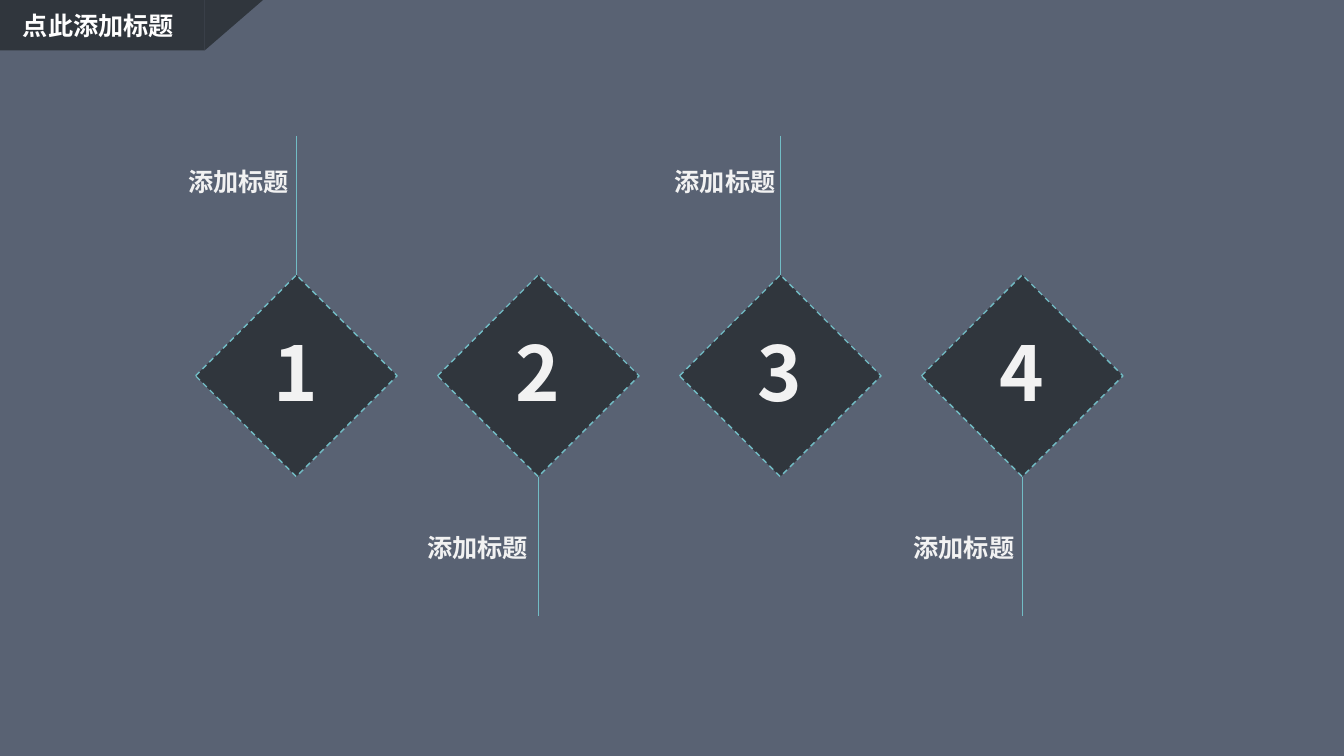
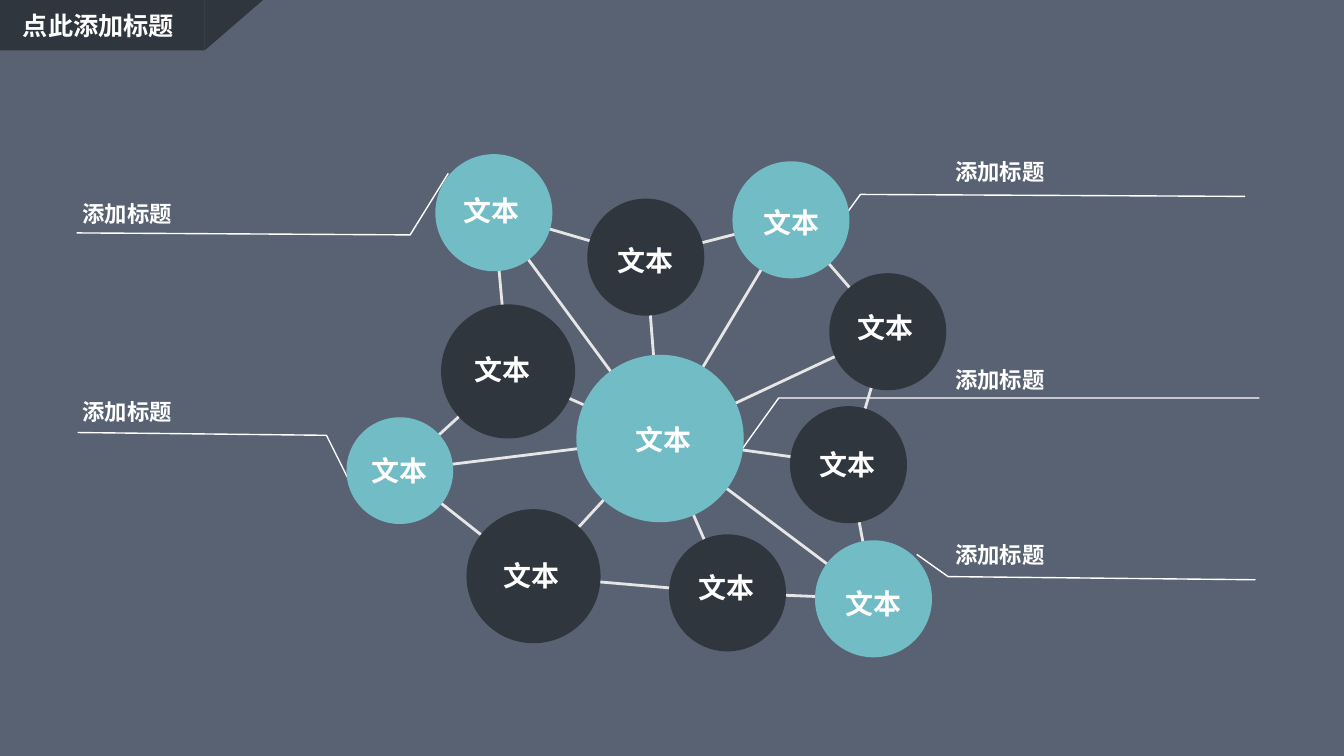
from dataclasses import dataclass

from lxml.etree import SubElement
from pptx import Presentation
from pptx.dml.color import RGBColor
from pptx.enum.dml import MSO_LINE_DASH_STYLE as Dash
from pptx.enum.shapes import MSO_CONNECTOR as Connector, MSO_SHAPE as Preset
from pptx.enum.text import MSO_ANCHOR as Anchor, PP_ALIGN as Align
from pptx.oxml.ns import qn
from pptx.shapes.autoshape import Shape
from pptx.slide import Slide
from pptx.util import Cm, Pt

FONT = "Noto Sans CJK SC"
SLATE, DARK, TEAL = "596273", "30363D", "72BCC5"
WHITE, PALE, LINK = "FFFFFF", "F2F2F2", "E7E6E6"
PAGE_TITLE, HEADING, NODE_TEXT = "点此添加标题", "添加标题", "文本"

DIAMOND_LEFT, DIAMOND_TOP, DIAMOND_SIZE, DIAMOND_STEP = 4.93, 6.93, 5.08, 6.1
STEM_LENGTH = 3.51

Point = tuple[float, float]


@dataclass(frozen=True)
class Step:
    number: str
    heading_left: float
    above: bool


@dataclass(frozen=True)
class Node:
    centre: Point
    diameter: float
    color: str
    label: Point


@dataclass(frozen=True)
class Callout:
    route: tuple[Point, Point, Point]
    label: Point


STEPS = [
    Step("1", 4.5, True),
    Step("2", 10.52, False),
    Step("3", 16.76, True),
    Step("4", 22.78, False),
]

HUB = Node((16.64, 11.05), 4.22, TEAL, (15.77, 10.52))
RING = [
    Node((12.45, 5.36), 2.95, TEAL, (11.43, 4.75)),
    Node((16.28, 6.48), 2.95, DARK, (15.32, 5.99)),
    Node((19.94, 5.54), 2.95, TEAL, (19.0, 5.03)),
    Node((22.38, 8.36), 2.95, DARK, (21.36, 7.7)),
    Node((21.39, 11.71), 2.95, DARK, (20.4, 11.13)),
    Node((22.02, 15.09), 2.95, TEAL, (21.06, 14.63)),
    Node((18.34, 14.94), 2.95, DARK, (17.37, 14.25)),
    Node((13.45, 14.52), 3.38, DARK, (12.45, 13.94)),
    Node((10.08, 11.86), 2.69, TEAL, (9.12, 11.3)),
    Node((12.81, 9.36), 3.38, DARK, (11.71, 8.74)),
]

CALLOUTS = [
    Callout(((18.72, 11.3), (19.63, 10.03), (31.75, 10.03)), (23.83, 9.09)),
    Callout(((21.34, 5.38), (21.69, 4.9), (31.39, 4.95)), (23.83, 3.86)),
    Callout(((11.3, 4.37), (10.34, 5.92), (1.93, 5.87)), (1.83, 4.9)),
    Callout(((8.79, 12.09), (8.23, 10.97), (1.96, 10.9)), (1.83, 9.91)),
    Callout(((23.11, 13.97), (23.9, 14.53), (31.65, 14.61)), (23.83, 13.51)),
]


def rgb(color: str) -> RGBColor:
    return RGBColor.from_string(color)


def write(shape: Shape, text: str, *, size: float, color: str = WHITE,
          align: Align = Align.LEFT, left: float = 0.25, bottom: float = 0) -> None:
    frame = shape.text_frame
    frame.word_wrap = True
    frame.vertical_anchor = Anchor.MIDDLE
    frame.margin_left, frame.margin_right = Cm(left), Cm(0)
    frame.margin_top, frame.margin_bottom = Cm(0), Cm(bottom)
    paragraph = frame.paragraphs[0]
    paragraph.alignment = align
    run = paragraph.add_run()
    run.text = text
    run.font.size, run.font.bold, run.font.name = Pt(size), True, FONT
    run.font.color.rgb = rgb(color)
    SubElement(run._r.get_or_add_rPr(), qn("a:ea")).set("typeface", FONT)


def add_label(slide: Slide, text: str, at: Point, width: float, height: float,
              *, size: float, color: str = WHITE) -> None:
    box = slide.shapes.add_textbox(Cm(at[0]), Cm(at[1]), Cm(width), Cm(height))
    write(box, text, size=size, color=color)


def add_solid(slide: Slide, preset: Preset, at: Point, width: float,
              height: float, color: str) -> Shape:
    solid = slide.shapes.add_shape(preset, Cm(at[0]), Cm(at[1]), Cm(width), Cm(height))
    solid.shadow.inherit = False
    solid.fill.solid()
    solid.fill.fore_color.rgb = rgb(color)
    solid.line.fill.background()
    return solid


def add_line(slide: Slide, start: Point, end: Point, color: str, width: float) -> None:
    line = slide.shapes.add_connector(
        Connector.STRAIGHT, Cm(start[0]), Cm(start[1]), Cm(end[0]), Cm(end[1]))
    line.line.color.rgb = rgb(color)
    line.line.width = Pt(width)
    SubElement(line._element.spPr, qn("a:effectLst"))


def add_header(slide: Slide) -> None:
    add_solid(slide, Preset.RECTANGLE, (0, 0), 5.16, 1.27, DARK)
    corner = add_solid(slide, Preset.ISOSCELES_TRIANGLE, (5.16, 0), 1.47, 1.27, DARK)
    corner.adjustments[0] = 1.0
    corner.rotation = 180
    add_label(slide, PAGE_TITLE, (0.33, 0.13), 4.47, 1.02, size=18)


def add_step(slide: Slide, index: int, step: Step) -> None:
    left = DIAMOND_LEFT + index * DIAMOND_STEP
    centre = left + DIAMOND_SIZE / 2
    diamond = add_solid(slide, Preset.DIAMOND, (left, DIAMOND_TOP),
                        DIAMOND_SIZE, DIAMOND_SIZE, DARK)
    diamond.line.color.rgb = rgb(TEAL)
    diamond.line.width = Pt(1)
    diamond.line.dash_style = Dash.DASH
    write(diamond, step.number, size=54, color=PALE, align=Align.CENTER,
          left=0, bottom=0.25)
    stem_top = DIAMOND_TOP - STEM_LENGTH if step.above else DIAMOND_TOP + DIAMOND_SIZE
    add_line(slide, (centre, stem_top), (centre, stem_top + STEM_LENGTH), TEAL, 1)
    heading_top = 4.06 if step.above else 13.28
    add_label(slide, HEADING, (step.heading_left, heading_top), 3.05, 1.02,
              size=18, color=PALE)


def add_callout(slide: Slide, callout: Callout) -> None:
    start, *rest = [(Cm(x), Cm(y)) for x, y in callout.route]
    builder = slide.shapes.build_freeform(*start)
    builder.add_line_segments(rest, close=False)
    leader = builder.convert_to_shape()
    leader.shadow.inherit = False
    leader.fill.background()
    leader.line.color.rgb = rgb(WHITE)
    leader.line.width = Pt(1)
    add_label(slide, HEADING, callout.label, 5.64, 0.94, size=16)


def add_node(slide: Slide, node: Node) -> None:
    corner = tuple(c - node.diameter / 2 for c in node.centre)
    add_solid(slide, Preset.OVAL, corner, node.diameter, node.diameter, node.color)
    add_label(slide, NODE_TEXT, node.label, 1.94, 1.12, size=20)


def build_steps(slide: Slide) -> None:
    for index, step in enumerate(STEPS):
        add_step(slide, index, step)


def build_network(slide: Slide) -> None:
    for callout in CALLOUTS:
        add_callout(slide, callout)
    for node, neighbour in zip(RING, RING[1:] + RING[:1]):
        add_line(slide, node.centre, neighbour.centre, LINK, 2)
        add_line(slide, HUB.centre, node.centre, LINK, 2)
    for node in [HUB, *RING]:
        add_node(slide, node)


def main() -> None:
    deck = Presentation()
    deck.slide_width, deck.slide_height = Cm(33.88), Cm(19.05)
    backdrop = deck.slide_master.background.fill
    backdrop.solid()
    backdrop.fore_color.rgb = rgb(SLATE)
    for build in (build_steps, build_network):
        slide = deck.slides.add_slide(deck.slide_layouts[6])
        add_header(slide)
        build(slide)
    deck.save("out.pptx")


if __name__ == "__main__":
    main()
